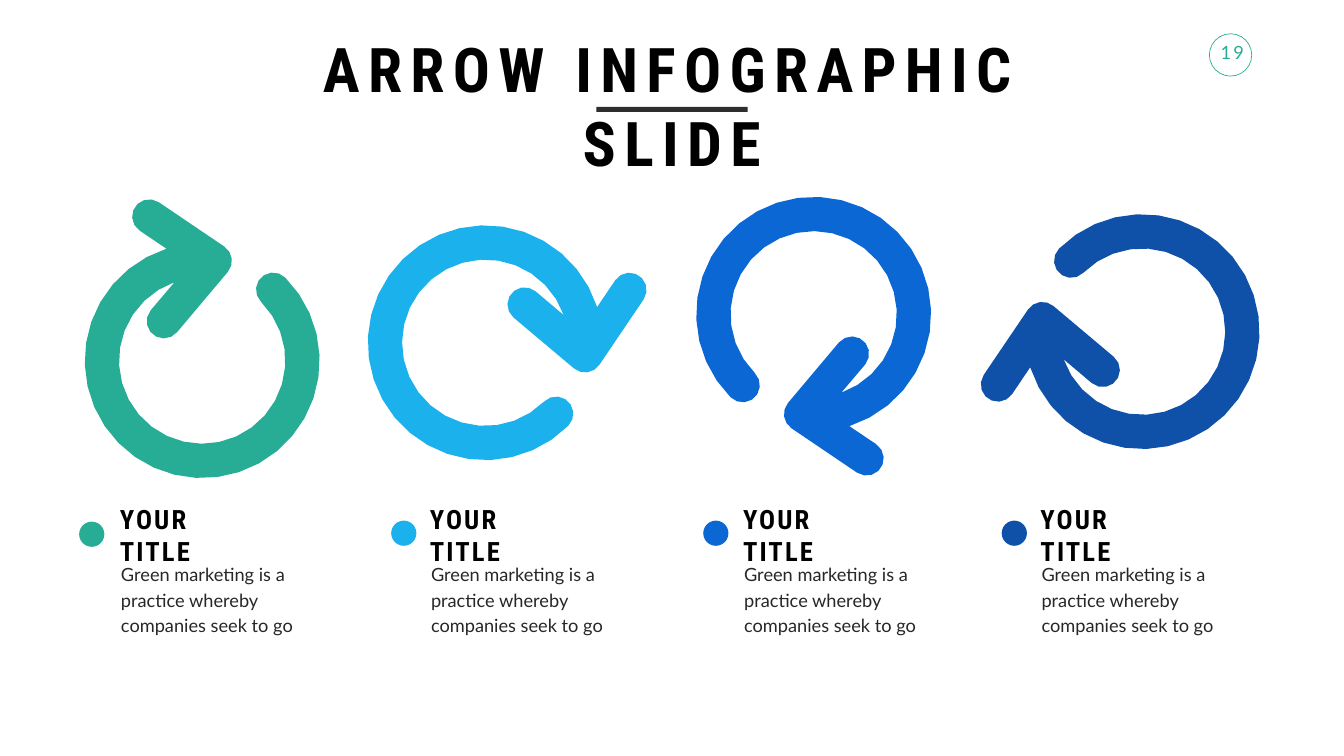
"""Build the arrow infographic slide: four circular arrows with captions."""
import math
from dataclasses import dataclass
from typing import NamedTuple, Optional

import pptx
import pptx.dml.color
import pptx.enum.shapes
import pptx.enum.text
import pptx.util

Align = pptx.enum.text.PP_ALIGN
Anchor = pptx.enum.text.MSO_ANCHOR
Preset = pptx.enum.shapes.MSO_SHAPE


@dataclass(frozen=True)
class Theme:
    black: str = "000000"
    body: str = "272727"
    rule: str = "2E2E2E"
    green: str = "27AC95"
    sky: str = "1BB1EC"
    blue: str = "0A67D4"
    navy: str = "0F51A9"
    heading_font: str = "Roboto Condensed"
    body_font: str = "Lato"
    title_size: int = 88
    heading_size: int = 38
    body_size: int = 26
    line_spacing: int = 37
    space_before: float = 5.2


@dataclass(frozen=True)
class Grid:
    columns: float = 26.66
    rows: float = 15
    cell: int = pptx.util.Inches(1)

    def length(self, cells: float) -> int:
        return round(cells * self.cell)


class Box(NamedTuple):
    left: float
    top: float
    width: float
    height: float


class Arc(NamedTuple):
    x: float
    y: float
    radius: float
    start: float
    end: float


class Step(NamedTuple):
    color: str
    arrow_x: float
    arrow_y: float
    rotation: int
    dot_left: float
    dot_top: float
    text_left: float


THEME = Theme()
GRID = Grid()
CAP = 0.34
RING = 1.99
FLATNESS = 0.01
CAP_OFFSET = RING / math.sqrt(2)
ARROW_OUTLINE = (
    Arc(CAP_OFFSET, -CAP_OFFSET, CAP, -45, -225),
    Arc(0, 0, RING - CAP, -45, 250.6),
    Arc(-0.76, -0.78, CAP, 220, 40),
    Arc(0.25, -1.98, CAP, 40, -56),
    Arc(-1.05, -2.86, CAP, -56, -236),
    Arc(0, 0, RING + CAP, 252.3, -45),
)
STEPS = (
    Step(THEME.green, 4.01, 6.72, 0, 1.57, 10.35, 2.28),
    Step(THEME.sky, 10.06, 6.8, 90, 7.76, 10.33, 8.43),
    Step(THEME.blue, 16.14, 6.67, 180, 13.95, 10.33, 14.64),
    Step(THEME.navy, 22.22, 6.58, 270, 19.87, 10.33, 20.54),
)


def rgb(color: str) -> pptx.dml.color.RGBColor:
    return pptx.dml.color.RGBColor.from_string(color)


def place(box: Box) -> list[int]:
    return [GRID.length(cells) for cells in box]


def paint(shape, fill: Optional[str] = None, line: Optional[str] = None) -> None:
    shape.shadow.inherit = False
    if fill:
        shape.fill.solid()
        shape.fill.fore_color.rgb = rgb(fill)
    else:
        shape.fill.background()
    if line:
        shape.line.color.rgb = rgb(line)
        shape.line.width = pptx.util.Pt(1)
    else:
        shape.line.fill.background()


def add_preset(slide, preset, box: Box, fill: Optional[str] = None,
               line: Optional[str] = None) -> None:
    paint(slide.shapes.add_shape(preset, *place(box)), fill, line)


def add_text(slide, text: str, box: Box, *, size: float, font: str, color: str,
             bold: bool = False, spacing: int = 0, align=Align.LEFT,
             anchor=Anchor.TOP, wrap: bool = True, inset: tuple = (0.1, 0.05),
             line_spacing: Optional[float] = None, space_before: float = 0) -> None:
    frame = slide.shapes.add_textbox(*place(box)).text_frame
    frame.word_wrap = wrap
    frame.vertical_anchor = anchor
    frame.margin_left = frame.margin_right = GRID.length(inset[0])
    frame.margin_top = frame.margin_bottom = GRID.length(inset[1])
    paragraph = frame.paragraphs[0]
    paragraph.alignment = align
    paragraph.space_before = pptx.util.Pt(space_before)
    if line_spacing:
        paragraph.line_spacing = pptx.util.Pt(line_spacing)
    run = paragraph.add_run()
    run.text = text
    run.font.size = pptx.util.Pt(size)
    run.font.name = font
    run.font.bold = bold
    run.font.color.rgb = rgb(color)
    if spacing:
        run.font._element.set("spc", str(spacing * 100))


def arc_points(arc: Arc) -> list[tuple[float, float]]:
    widest = 2 * math.degrees(math.acos(1 - FLATNESS / arc.radius))
    count = math.ceil(abs(arc.end - arc.start) / widest)
    angles = [math.radians(arc.start + (arc.end - arc.start) * index / count)
              for index in range(count + 1)]
    return [(arc.x + arc.radius * math.cos(angle), arc.y + arc.radius * math.sin(angle))
            for angle in angles]


def add_arrow(slide, step: Step) -> None:
    points = [(GRID.length(x), GRID.length(y))
              for arc in ARROW_OUTLINE for x, y in arc_points(arc)]
    builder = slide.shapes.build_freeform(*points[0])
    builder.add_line_segments(points[1:], close=True)
    shape = builder.convert_to_shape()
    shape.left = GRID.length(step.arrow_x) - shape.width // 2
    shape.top = GRID.length(step.arrow_y) - shape.height // 2
    shape.rotation = step.rotation
    paint(shape, step.color)


def add_caption(slide, step: Step) -> None:
    add_preset(slide, Preset.OVAL, Box(step.dot_left, step.dot_top, 0.5, 0.5), step.color)
    add_text(slide, "YOUR TITLE", Box(step.text_left, 10.24, 2.41, 0.74),
             size=THEME.heading_size, font=THEME.heading_font, color=THEME.black,
             bold=True, spacing=3, anchor=Anchor.MIDDLE)
    add_text(slide, "Green marketing is a practice whereby companies seek to go",
             Box(step.text_left - 0.12, 10.97, 4.06, 1.74), size=THEME.body_size,
             font=THEME.body_font, color=THEME.body, inset=(0.24, 0.12),
             line_spacing=THEME.line_spacing, space_before=THEME.space_before)


def main() -> None:
    presentation = pptx.Presentation()
    presentation.slide_width = GRID.length(GRID.columns)
    presentation.slide_height = GRID.length(GRID.rows)
    slide = presentation.slides.add_slide(presentation.slide_layouts[6])
    add_text(slide, "19", Box(24.06, 0.78, 0.77, 0.54), size=THEME.body_size,
             font=THEME.body_font, color=THEME.green, spacing=3,
             align=Align.CENTER, wrap=False)
    add_preset(slide, Preset.OVAL, Box(23.99, 0.67, 0.84, 0.84), line=THEME.green)
    for step in STEPS:
        add_arrow(slide, step)
    add_text(slide, "ARROW INFOGRAPHIC SLIDE", Box(6.29, 0.56, 14.07, 1.58),
             size=THEME.title_size, font=THEME.heading_font, color=THEME.black,
             bold=True, spacing=12, align=Align.CENTER)
    add_preset(slide, Preset.RECTANGLE, Box(11.83, 2.12, 3, 0.1), THEME.rule)
    for step in STEPS:
        add_caption(slide, step)
    presentation.save("out.pptx")


if __name__ == "__main__":
    main()
